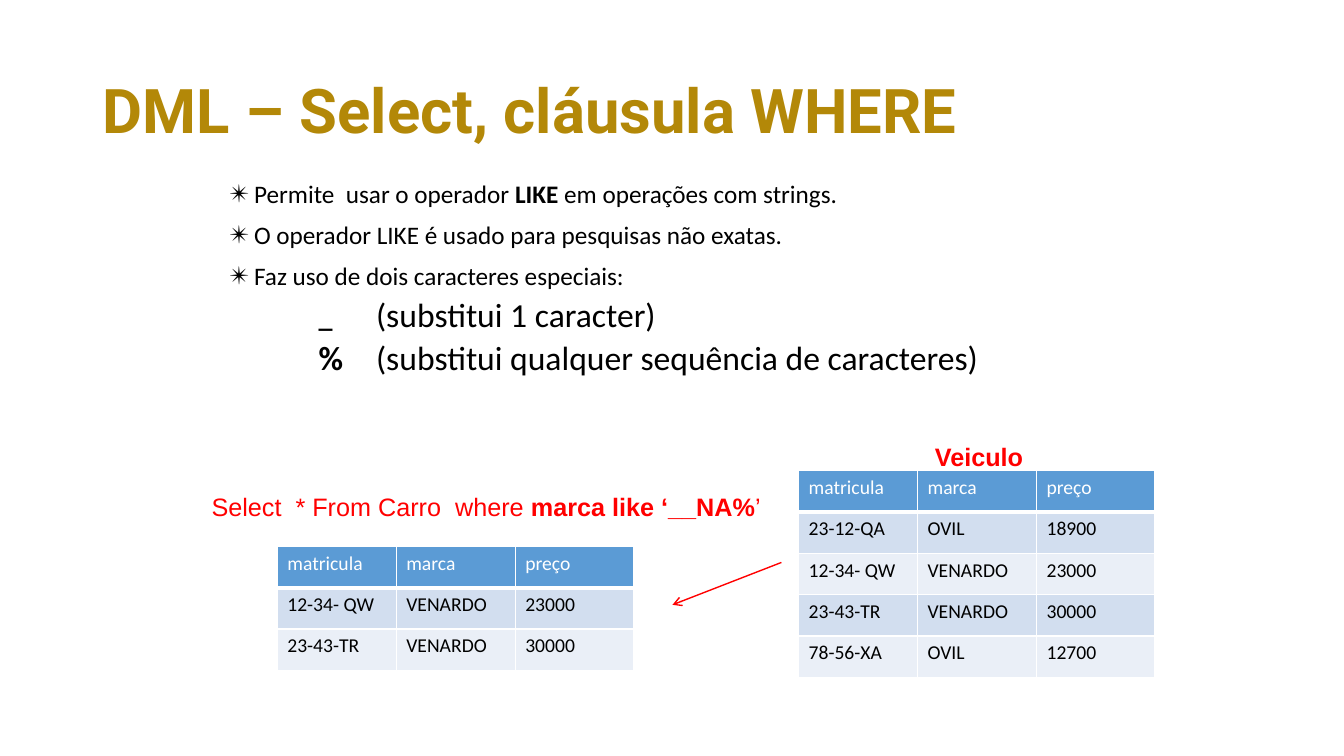
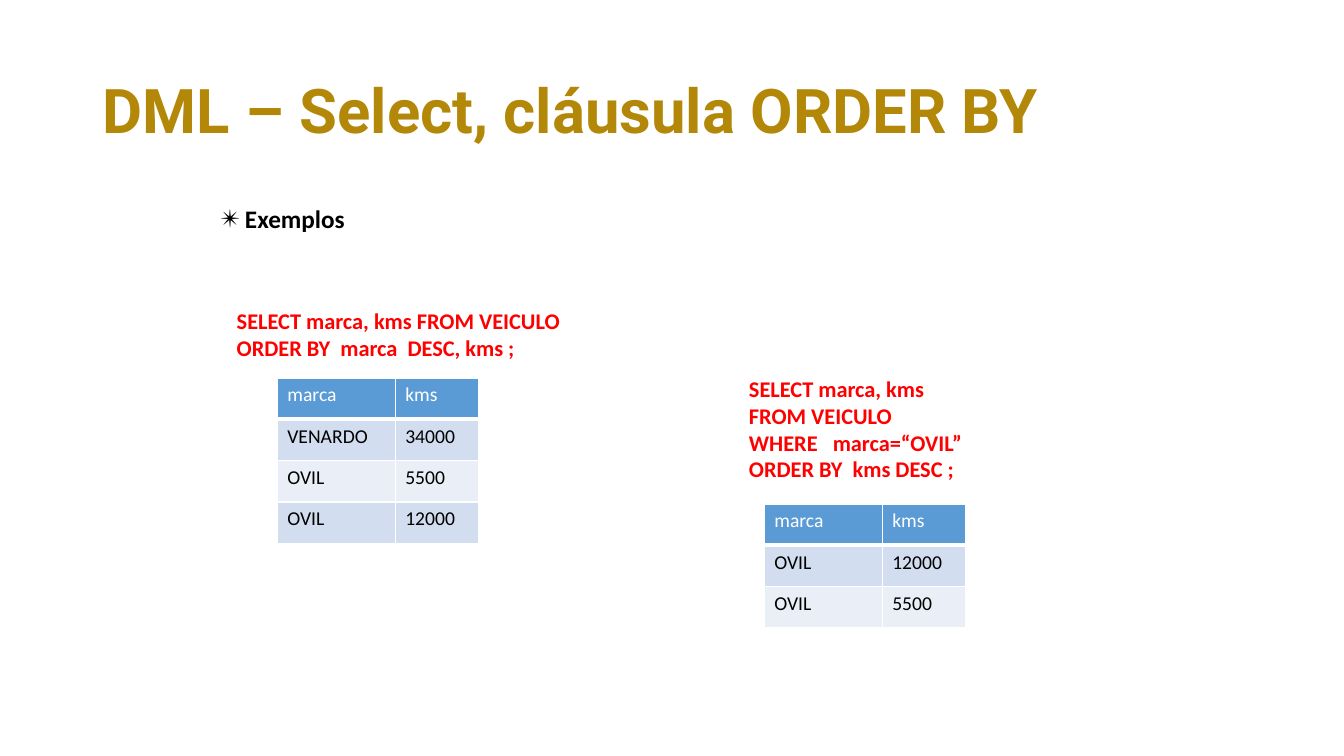
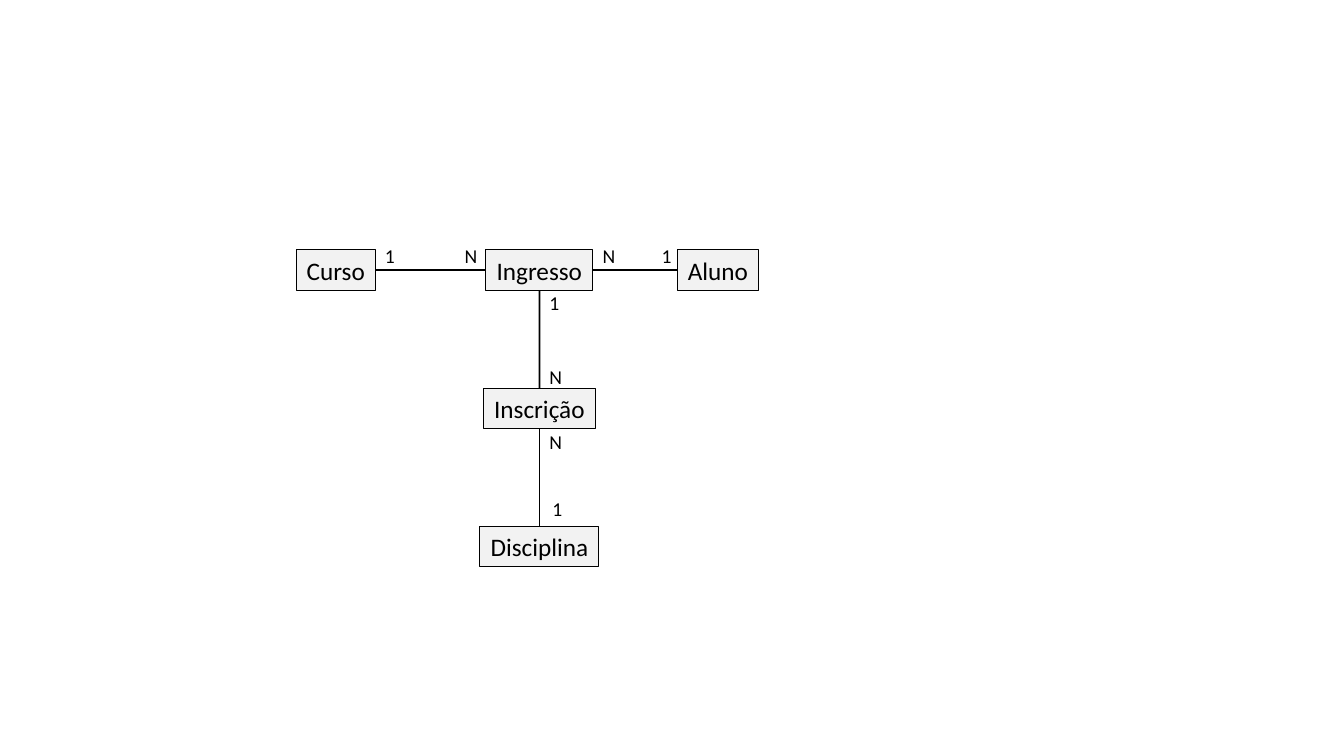
from lxml import etree
from pptx import Presentation
from pptx import util as u
from pptx.dml import color
from pptx.enum import shapes, text
from pptx.oxml import ns

GOLD, RED, BLACK, WHITE = "B38808", "FF0000", "000000", "FFFFFF"
HEADER, ODD_ROW, EVEN_ROW, ENTITY = "5B9BD5", "D2DEEF", "EAEFF7", "F2F2F2"
ROW_HEIGHT, ENTITY_HEIGHT = 0.41, 0.4


def rgb(hex_colour):
    """Turn a hex string into a colour."""
    return color.RGBColor.from_string(hex_colour)


def inches(*lengths):
    """Turn numbers into lengths in inches."""
    return [u.Inches(length) for length in lengths]


def add_xml(parent, tag, **attributes):
    """Append a DrawingML element to its parent."""
    return etree.SubElement(parent, ns.qn(tag), attributes)


def style(font, size, colour, name="Calibri", bold=False):
    """Set the look of a font."""
    font.size, font.name, font.bold = u.Pt(size), name, bold
    font.color.rgb = rgb(colour)


def write(frame, lines, size, colour, name="Calibri", bold=False):
    """Write lines, each a string or a list of (words, bold) runs."""
    for index, line in enumerate(lines):
        paragraph = frame.paragraphs[0] if index == 0 else frame.add_paragraph()
        style(paragraph.font, size, colour, name, bold)
        if isinstance(line, str):
            paragraph.add_run().text = line
            continue
        for words, emphasis in line:
            run = paragraph.add_run()
            run.text, run.font.bold = words, emphasis
    return frame.paragraphs


def add_label(slide, box, lines, size, colour, name="Calibri", bold=False, wrap=True):
    """Place free text in a box."""
    frame = slide.shapes.add_textbox(*inches(*box)).text_frame
    frame.word_wrap = wrap
    return write(frame, lines, size, colour, name, bold)


def add_line(slide, start, end, colour, width):
    """Draw a plain straight line."""
    line = slide.shapes.add_connector(shapes.MSO_CONNECTOR.STRAIGHT, *inches(*start, *end))
    line.line.color.rgb, line.line.width = rgb(colour), u.Pt(width)
    add_xml(line._element.spPr, "a:effectLst")
    return line


def add_arrow(slide, start, end):
    """Draw a red arrow."""
    arrow = add_line(slide, start, end, RED, 1)
    add_xml(arrow.line._get_or_add_ln(), "a:tailEnd", type="arrow")


def indent(paragraph, margin, first, before, bullet=None):
    """Set indents, spacing and bullet of a body paragraph."""
    paragraph.line_spacing, paragraph.space_before = 0.9, u.Pt(before)
    properties = paragraph._p.get_or_add_pPr()
    properties.set("marL", str(u.Inches(margin)))
    properties.set("indent", str(u.Inches(first)))
    mark = etree.Element(ns.qn("a:buChar" if bullet else "a:buNone"))
    if bullet:
        mark.set("char", bullet)
    properties.find(ns.qn("a:defRPr")).addprevious(mark)


def add_content_slide(deck, heading, body_box, bullets):
    """Start a slide with the shared title and bullet list."""
    slide = deck.slides.add_slide(deck.slide_layouts[1])
    title, body = slide.placeholders
    for holder, box in ((title, (0.92, 0.4, 11.5, 1.45)), (body, body_box)):
        holder.left, holder.top, holder.width, holder.height = inches(*box)
        holder.text_frame.auto_size = text.MSO_AUTO_SIZE.NONE
    title.text_frame.vertical_anchor = text.MSO_ANCHOR.MIDDLE
    caption = write(title.text_frame, [heading], 44, GOLD, "Roboto", True)[0]
    caption.alignment, caption.line_spacing = text.PP_ALIGN.LEFT, 0.9
    for paragraph in write(body.text_frame, bullets, 18, BLACK):
        indent(paragraph, 0.25, -0.25, 10, "✴")
    return slide, body.text_frame


def add_wildcard(frame, symbol, size, meaning):
    """Add a wildcard and its meaning below the bullets."""
    paragraph = frame.add_paragraph()
    paragraph.level = 1
    style(paragraph.font, 24, BLACK)
    wildcard, explanation = paragraph.add_run(), paragraph.add_run()
    wildcard.text, explanation.text = symbol, "\t" + meaning
    wildcard.font.bold, wildcard.font.size = True, u.Pt(size)
    indent(paragraph, 1.46, -0.57, 5)


def add_border(cell, side, width):
    """Draw one white cell border."""
    border = add_xml(cell._tc.get_or_add_tcPr(), f"a:ln{side}", w=str(u.Pt(width)))
    add_xml(add_xml(border, "a:solidFill"), "a:srgbClr", val=WHITE)


def add_records(slide, left, top, widths, records):
    """Place a table of records with a header row and banded rows."""
    size = inches(left, top, sum(widths), ROW_HEIGHT * len(records))
    table = slide.shapes.add_table(len(records), len(widths), *size).table
    for column, width in zip(table.columns, widths):
        column.width = u.Inches(width)
    for row, record in enumerate(records):
        table.rows[row].height = u.Inches(ROW_HEIGHT)
        fill = HEADER if row == 0 else ODD_ROW if row % 2 else EVEN_ROW
        for column, value in enumerate(record):
            cell = table.cell(row, column)
            for side in "LRTB":
                add_border(cell, side, 3 if row == 0 and side == "B" else 1)
            cell.fill.solid()
            cell.fill.fore_color.rgb = rgb(fill)
            write(cell.text_frame, [value], 14, BLACK if row else WHITE)


def build_where(deck):
    """Build the slide on the LIKE operator."""
    slide, body = add_content_slide(
        deck, "DML – Select, cláusula WHERE", (2.17, 1.75, 9, 2.75),
        [[("Permite  usar o operador ", False), ("LIKE ", True),
          ("em operações com strings.", False)],
         "O operador LIKE é usado para pesquisas não exatas.",
         "Faz uso de dois caracteres especiais:"])
    add_wildcard(body, "_", 20, "(substitui 1 caracter)")
    add_wildcard(body, "%", 24, "(substitui qualquer sequência de caracteres)")

    fields, widths = ("matricula", "marca", "preço"), (1.18, 1.18, 1.17)
    vehicles = [("23-12-QA", "OVIL", "18900"), ("12-34- QW", "VENARDO", "23000"),
                ("23-43-TR", "VENARDO", "30000"), ("78-56-XA", "OVIL", "12700")]
    matches = [vehicle for vehicle in vehicles if vehicle[1][2:4] == "NA"]
    add_records(slide, 7.92, 4.67, widths, [fields, *vehicles])
    add_records(slide, 2.75, 5.42, widths, [fields, *matches])
    add_arrow(slide, (7.75, 5.58), (6.67, 6))
    add_label(slide, (2, 4.83, 5.67, 0.4),
              [[("Select  * From Carro  where ", False), ("marca like ‘__NA%", True),
                ("’", False)]], 18, RED, "Arial")
    caption = add_label(slide, (8.42, 4.33, 2.58, 0.42), ["Veiculo"], 18, RED, "Arial", True)
    caption[0].alignment = text.PP_ALIGN.CENTER


def add_query(slide, left, top, width, query, table_top, records):
    """Place a query and, below it, its result."""
    add_label(slide, (left, top, width, 0.27 * len(query) + 0.1), query, 16, RED, bold=True)
    return records and add_records(slide, *table_top, (1.17, 0.83), [("marca", "kms"), *records])


def build_order_by(deck):
    """Build the slide with ordered queries."""
    slide, body = add_content_slide(
        deck, "DML – Select, cláusula ORDER BY", (2.08, 2, 9, 0.92), [[("Exemplos", True)]])
    add_query(slide, 2.25, 3, 3.5,
              ["SELECT marca, kms FROM VEICULO", "ORDER BY  marca  DESC, kms ;"],
              (2.75, 3.75), [("VENARDO", "34000"), ("OVIL", "5500"), ("OVIL", "12000")])
    add_query(slide, 7.33, 3.67, 3.42,
              ["SELECT marca, kms", "FROM VEICULO", "WHERE   marca=“OVIL”",
               "ORDER BY  kms DESC ;"],
              (7.58, 5), [("OVIL", "12000"), ("OVIL", "5500")])


def add_entity(slide, name, centre, top, width):
    """Place an entity box around a centre line."""
    box = inches(centre - width / 2, top, width, ENTITY_HEIGHT)
    entity = slide.shapes.add_shape(shapes.MSO_SHAPE.RECTANGLE, *box)
    entity.shadow.inherit = False
    entity.fill.solid()
    entity.fill.fore_color.rgb = rgb(ENTITY)
    entity.line.color.rgb, entity.line.width = rgb(BLACK), u.Pt(0.75)
    entity.text_frame.word_wrap = False
    write(entity.text_frame, [name], 18, BLACK)[0].alignment = text.PP_ALIGN.CENTER
    return entity


def add_relation(slide, start, start_side, end, end_side, cardinalities):
    """Join two entities and label both ends of the line."""
    line = add_line(slide, (0, 0), (0, 0), BLACK, 1.25)
    line.begin_connect(start, start_side)
    line.end_connect(end, end_side)
    ends = ((line.begin_x, line.begin_y), (line.end_x, line.end_y))
    for (x, y), (cardinality, across, down) in zip(ends, cardinalities):
        width = 0.33 if cardinality == "N" else 0.3
        box = (u.Emu(x).inches + across, u.Emu(y).inches + down, width, 0.34)
        add_label(slide, box, [cardinality], 14, BLACK, wrap=False)


def add_diagram(slide, left, top):
    """Draw the entity diagram from its top left corner."""
    axis, pitch = left + 2.41, 1.37
    course = add_entity(slide, "Curso", left + 0.39, top, 0.78)
    student = add_entity(slide, "Aluno", left + 4.18, top, 0.81)
    entry, enrolment, subject = [
        add_entity(slide, name, axis, top + pitch * level, width)
        for level, (name, width) in enumerate(
            (("Ingresso", 1.06), ("Inscrição", 1.11), ("Disciplina", 1.18)))]
    add_relation(slide, course, 3, entry, 1, (("1", 0, -0.31), ("N", -0.31, -0.31)))
    add_relation(slide, entry, 3, student, 1, (("N", 0, -0.31), ("1", -0.25, -0.31)))
    add_relation(slide, entry, 2, enrolment, 0, (("1", 0, -0.04), ("N", 0, -0.28)))
    add_relation(slide, enrolment, 2, subject, 0, (("N", 0, -0.03), ("1", 0.03, -0.34)))


def main():
    """Build and save the deck."""
    deck = Presentation()
    deck.slide_width, deck.slide_height = inches(13.33, 7.5)
    build_where(deck)
    build_order_by(deck)
    add_diagram(deck.slides.add_slide(deck.slide_layouts[6]), 2.94, 2.48)
    deck.save("out.pptx")


if __name__ == "__main__":
    main()
